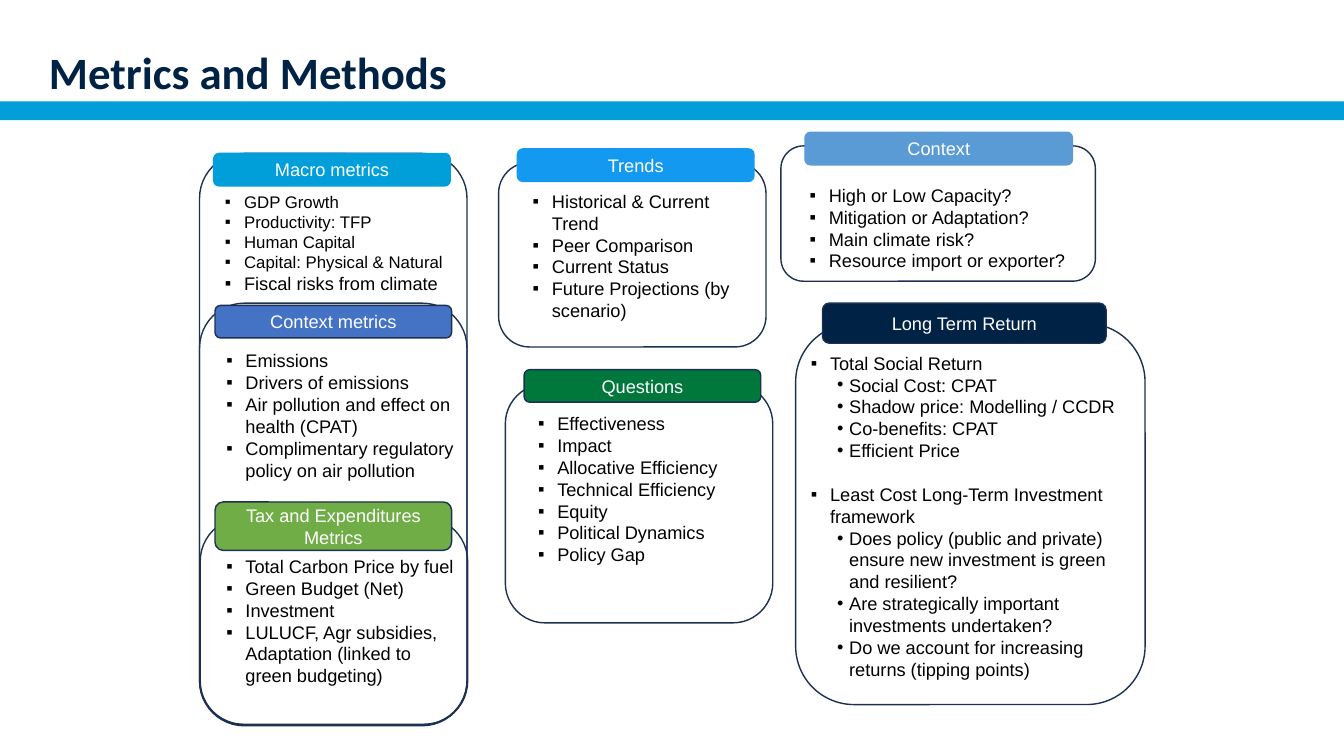
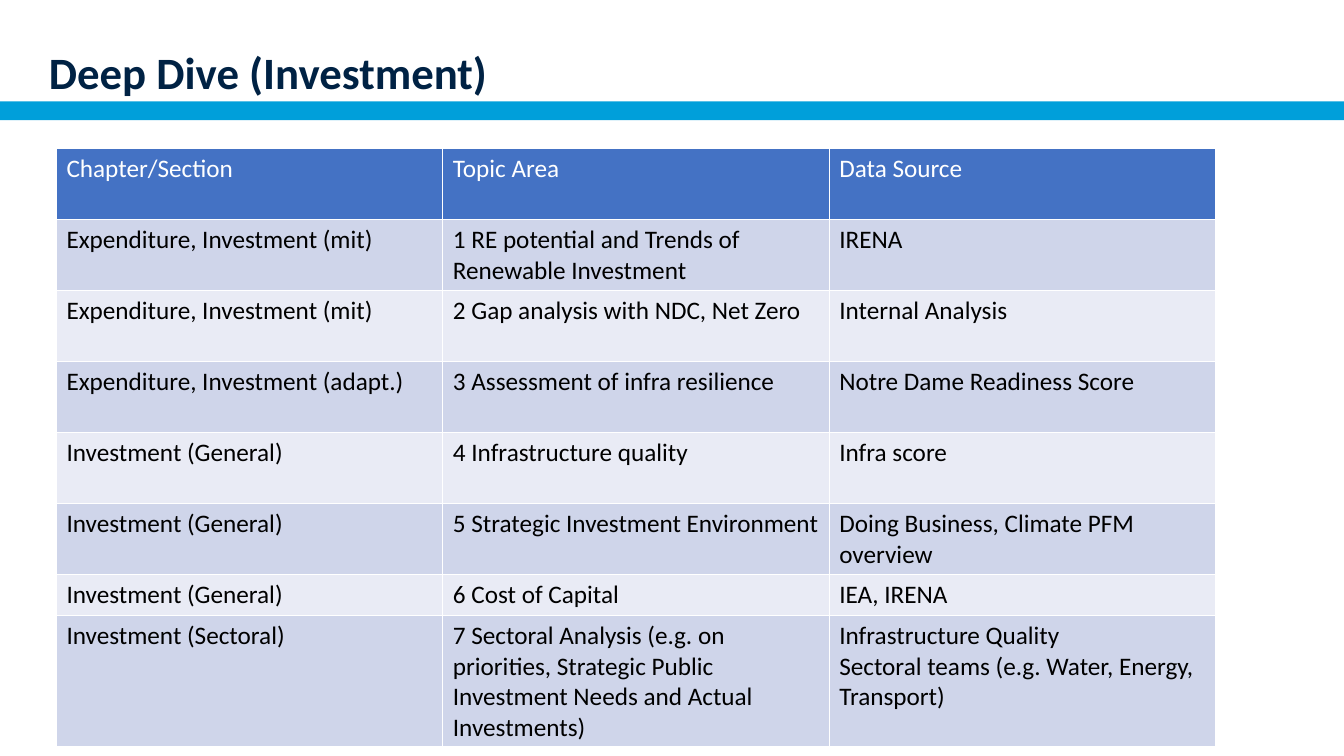
from collections import namedtuple

from lxml import etree
from pptx import Presentation
from pptx import util as u
from pptx.dml.color import RGBColor
from pptx.enum import shapes, text
from pptx.oxml import ns

Item = namedtuple("Item", "text level size before", defaults=(0, 13, 0))
Panel = namedtuple("Panel", "title fill line outline header body items rounding", defaults=(0.167,))

NAVY, CYAN, OUTLINE, WHITE, BLACK = "002244", "009FDA", "1C3052", "FFFFFF", "000000"
HEADER_BLUE, BANDS = "4472C4", ("CFD5EA", "E9EBF5")
BULLETS = (("▪", 0.19, -0.19), ("•", 0.38, -0.12))
TITLE_FONT = {"name": "Calibri", "size": u.Pt(32), "bold": True}
TABLE_FONT = {"name": "Calibri", "size": u.Pt(18), "bold": False}
PANEL_FONT = {"name": "Arial", "size": u.Pt(13)}
LIST_FRAME = {"word_wrap": True, "auto_size": text.MSO_AUTO_SIZE.SHAPE_TO_FIT_TEXT}
MIDDLE_FRAME = {"word_wrap": True, "vertical_anchor": text.MSO_ANCHOR.MIDDLE}


def color(value):
    return RGBColor.from_string(value)


def apply(target, values):
    for name, value in values.items():
        setattr(target, name, value)


class Deck:
    """Hold the shared style and the current slide; lengths are percent of the slide."""

    def __init__(self):
        self.presentation = Presentation()
        apply(self.presentation, {"slide_width": u.Inches(13.33), "slide_height": u.Inches(7.5)})
        self.slide = None

    def across(self, share):
        return round(self.presentation.slide_width * share / 100)

    def down(self, share):
        return round(self.presentation.slide_height * share / 100)

    def box(self, left, top, width, height):
        return self.across(left), self.down(top), self.across(width), self.down(height)

    def font(self, paragraph, values, ink):
        apply(paragraph.font, values)
        paragraph.font.color.rgb = color(ink)

    def new_slide(self, title):
        self.slide = self.presentation.slides.add_slide(self.presentation.slide_layouts[6])
        self.shape(shapes.MSO_SHAPE.RECTANGLE, (0, 13.4, 100, 2.5), fill=CYAN)
        frame = self.slide.shapes.add_textbox(*self.box(2.9, 4.4, 93.7, 11)).text_frame
        apply(frame, MIDDLE_FRAME)
        paragraph = frame.paragraphs[0]
        apply(paragraph, {"text": title, "line_spacing": 0.9})
        self.font(paragraph, TITLE_FONT, NAVY)

    def shape(self, kind, place, fill=None, line=None):
        shape = self.slide.shapes.add_shape(kind, *self.box(*place))
        shape.shadow.inherit = False
        if fill:
            shape.fill.solid()
            shape.fill.fore_color.rgb = color(fill)
        else:
            shape.fill.background()
        if line:
            shape.line.color.rgb = color(line)
            shape.line.width = u.Pt(1)
        else:
            shape.line.fill.background()
        return shape

    def rounded(self, place, rounding=0.167, **style):
        shape = self.shape(shapes.MSO_SHAPE.ROUNDED_RECTANGLE, place, **style)
        shape.adjustments[0] = rounding
        return shape

    def bullet(self, paragraph, level):
        mark, margin, indent = BULLETS[level]
        properties = paragraph._p.get_or_add_pPr()
        properties.set("marL", str(u.Inches(margin)))
        properties.set("indent", str(u.Inches(indent)))
        ink = etree.SubElement(properties, ns.qn("a:buClr"))
        etree.SubElement(ink, ns.qn("a:srgbClr"), val=BLACK)
        etree.SubElement(properties, ns.qn("a:buFont"), typeface="Arial")
        etree.SubElement(properties, ns.qn("a:buChar"), char=mark)

    def bullet_list(self, place, items):
        frame = self.slide.shapes.add_textbox(*self.box(*place)).text_frame
        apply(frame, LIST_FRAME)
        for index, entry in enumerate(items):
            item = Item(entry) if isinstance(entry, str) else entry
            paragraph = frame.add_paragraph() if index else frame.paragraphs[0]
            apply(paragraph, {"text": item.text, "level": item.level})
            self.bullet(paragraph, item.level)
            if item.before:
                paragraph.space_before = u.Pt(item.before)
            self.font(paragraph, PANEL_FONT | {"size": u.Pt(item.size)}, BLACK)

    def panel(self, panel):
        self.rounded(panel.outline, panel.rounding, line=OUTLINE)
        header = self.rounded(panel.header, fill=panel.fill, line=panel.line)
        apply(header.text_frame, MIDDLE_FRAME)
        paragraph = header.text_frame.paragraphs[0]
        apply(paragraph, {"text": panel.title, "alignment": text.PP_ALIGN.CENTER})
        self.font(paragraph, PANEL_FONT, WHITE)
        self.bullet_list(panel.body, panel.items)

    def table(self, left, top, column_width, row_heights, rows):
        columns = len(rows[0])
        place = self.box(left, top, column_width * columns, sum(row_heights))
        table = self.slide.shapes.add_table(len(rows), columns, *place).table
        for column in table.columns:
            column.width = self.across(column_width)
        for index, (values, height) in enumerate(zip(rows, row_heights)):
            table.rows[index].height = self.down(height)
            fill, ink = (BANDS[(index - 1) % 2], BLACK) if index else (HEADER_BLUE, WHITE)
            for cell, value in zip(table.rows[index].cells, values):
                cell.text = value
                cell.fill.solid()
                cell.fill.fore_color.rgb = color(fill)
                for paragraph in cell.text_frame.paragraphs:
                    self.font(paragraph, TABLE_FONT, ink)


PANELS = (
    Panel("Macro metrics", CYAN, CYAN,
          (14.85, 20.3, 19.9, 75.6), (15.9, 20.3, 17.6, 4.3), (16, 24.7, 18.9, 17.7),
          (Item("GDP Growth", size=12), Item("Productivity: TFP", size=12),
           Item("Human Capital", size=12), Item("Capital: Physical & Natural", size=12),
           "Fiscal risks from climate")),
    Panel("Trends", "139AF0", "139AF0",
          (37.1, 21.5, 19.9, 24.4), (38.5, 19.7, 17.6, 4.3), (38.9, 24.5, 17.6, 18.8),
          ("Historical & Current Trend", "Peer Comparison", "Current Status",
           "Future Projections (by scenario)")),
    Panel("Long Term Return", NAVY, OUTLINE,
          (59.2, 42.8, 26, 50.4), (61.2, 40.1, 21.1, 5.3), (59.6, 45.9, 25.3, 45.1),
          ("Total Social Return", Item("Social Cost: CPAT", 1),
           Item("Shadow price: Modelling / CCDR", 1), Item("Co-benefits: CPAT", 1),
           Item("Efficient Price", 1),
           Item("Least Cost Long-Term Investment framework", before=15.6),
           Item("Does policy (public and private) ensure new investment is green and resilient?", 1),
           Item("Are strategically important investments undertaken?", 1),
           Item("Do we account for increasing returns (tipping points)", 1))),
    Panel("Context metrics", HEADER_BLUE, OUTLINE,
          (14.85, 40.1, 19.9, 55.9), (16, 40.4, 17.6, 4.3), (16.1, 45.6, 18.9, 18.8),
          ("Emissions", "Drivers of emissions", "Air pollution and effect on health (CPAT)",
           "Complimentary regulatory policy on air pollution")),
    Panel("Tax and Expenditures Metrics", "70AD47", OUTLINE,
          (14.9, 68.5, 19.9, 27.3), (16, 66.4, 17.6, 6.4), (16.1, 72.8, 18.9, 18.8),
          ("Total Carbon Price by fuel", "Green Budget (Net)", "Investment",
           "LULUCF, Agr subsidies, Adaptation (linked to green budgeting)"), 0.21),
    Panel("Questions", "00783C", OUTLINE,
          (37.6, 50.8, 19.9, 31.6), (39, 48.9, 17.6, 4.3), (39.3, 53.9, 17.6, 27.6),
          ("Effectiveness", "Impact", "Allocative Efficiency", "Technical Efficiency",
           "Equity", "Political Dynamics", "Policy Gap")),
    Panel("Context", "5B9BD5", "5B9BD5",
          (58.1, 19.3, 23.4, 17.9), (59.9, 17.5, 19.9, 4.3), (59.5, 23.7, 22.1, 13.1),
          ("High or Low Capacity?", "Mitigation or Adaptation?", "Main climate risk?",
           "Resource import or exporter?")),
)

INVESTMENT_ROWS = (
    ("Chapter/Section", "Topic Area", "Data Source"),
    ("Expenditure, Investment (mit)", "1 RE potential and Trends of Renewable Investment", "IRENA"),
    ("Expenditure, Investment (mit)", "2 Gap analysis with NDC, Net Zero", "Internal Analysis"),
    ("Expenditure, Investment (adapt.)", "3 Assessment of infra resilience",
     "Notre Dame Readiness Score"),
    ("Investment (General)", "4 Infrastructure quality", "Infra score"),
    ("Investment (General)", "5 Strategic Investment Environment",
     "Doing Business, Climate PFM overview"),
    ("Investment (General)", "6 Cost of Capital", "IEA, IRENA"),
    ("Investment (Sectoral)",
     "7 Sectoral Analysis (e.g. on priorities, Strategic Public Investment Needs and Actual Investments)",
     "Infrastructure Quality\nSectoral teams (e.g. Water, Energy, Transport)"),
)


def main():
    deck = Deck()
    deck.new_slide("Metrics and Methods")
    for panel in PANELS:
        deck.panel(panel)
    deck.new_slide("Deep Dive (Investment)")
    deck.table(4.2, 19.6, 28.75, [9.4] * 6 + [5.4, 16.5], INVESTMENT_ROWS)
    deck.presentation.save("out.pptx")


if __name__ == "__main__":
    main()
